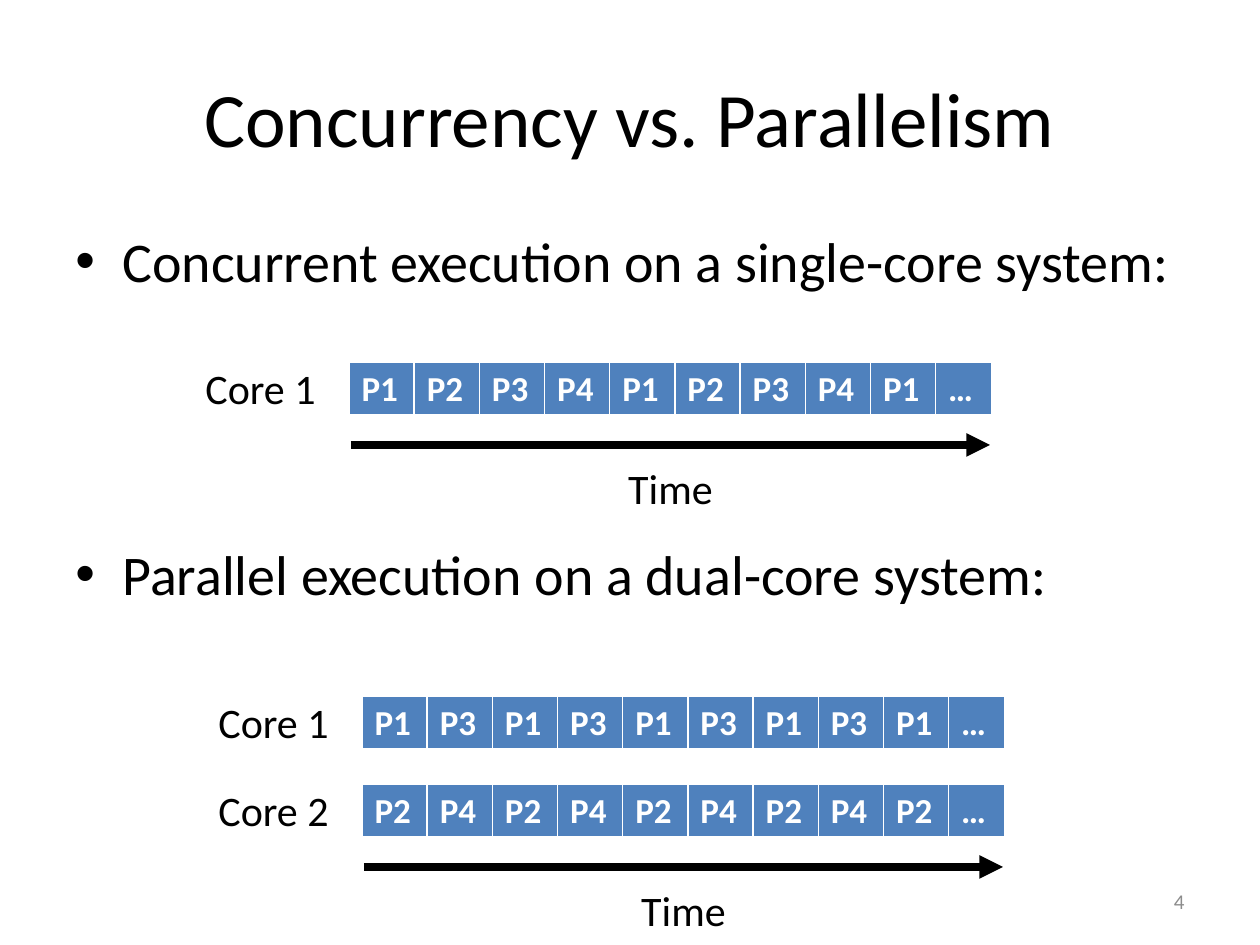
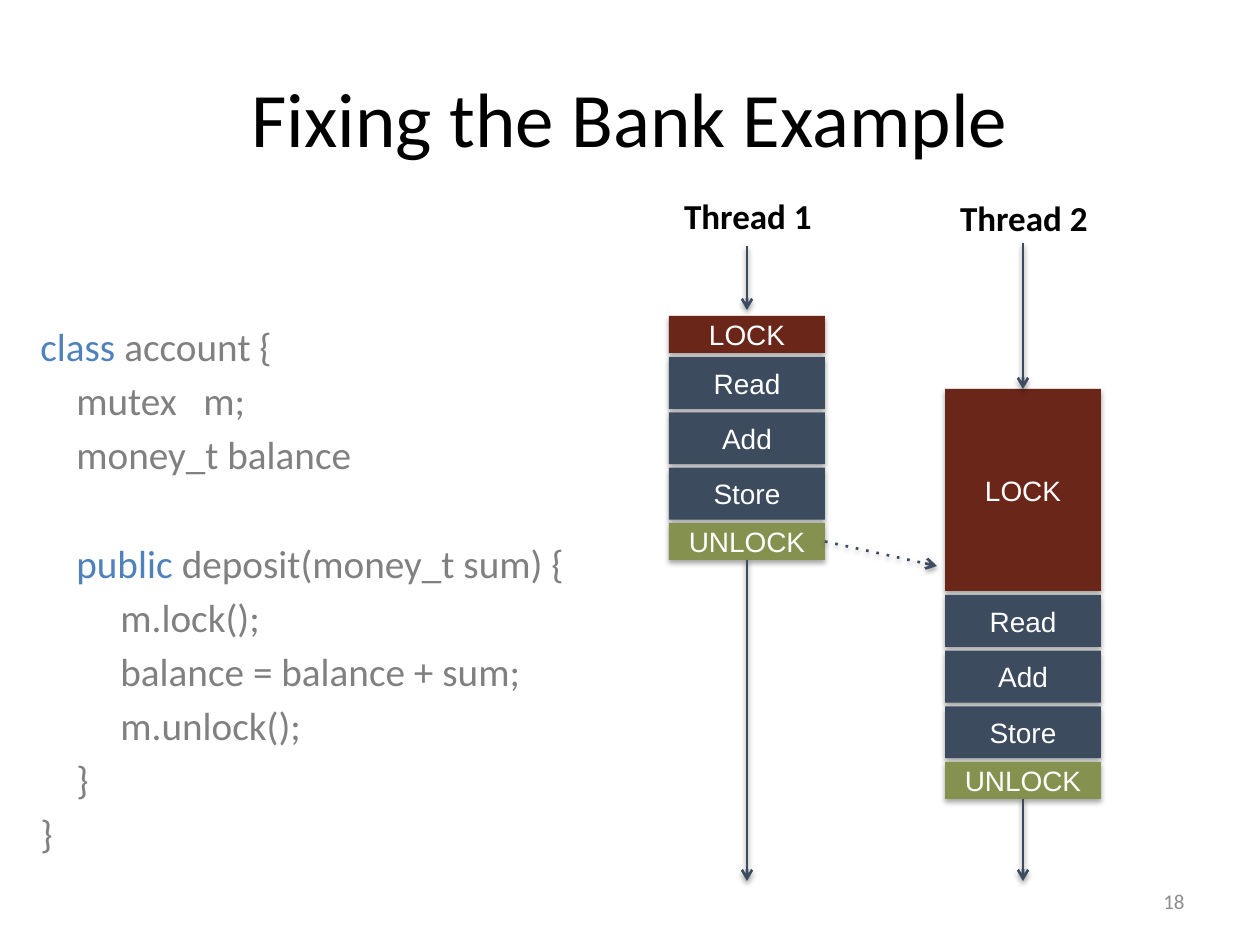
import dataclasses

import lxml.etree
import pptx
import pptx.dml.color
import pptx.enum.shapes
import pptx.enum.text
import pptx.oxml.ns
import pptx.util

ALIGN = pptx.enum.text.PP_ALIGN
ANCHOR = pptx.enum.text.MSO_ANCHOR
qn = pptx.oxml.ns.qn


@dataclasses.dataclass(frozen=True)
class Theme:
    font: str = "Calibri"
    block_font: str = "Arial"
    ink: str = "000000"
    paper: str = "FFFFFF"
    blue: str = "4F81BD"
    code: str = "808080"
    number: str = "8C8C8C"
    slate: str = "3C4B5E"
    lock: str = "6B261A"
    unlock: str = "85914E"
    title_size: float = 44
    bullet_size: float = 32
    label_size: float = 24
    code_size: float = 22.4
    cell_size: float = 20
    block_size: float = 16
    number_size: float = 12


THEME = Theme()
BLOCK_SHADOW = (35, 1.8)  # opacity in percent, distance in points
ARROW_SHADOW = (38, 1.6)


def emu(px):
    """Turn px, 126 to the inch, into EMU."""
    return pptx.util.Emu(round(px * 914400 / 126))


def rgb(colour):
    return pptx.dml.color.RGBColor.from_string(colour)


def add_xml(parent, tag, **attributes):
    child = lxml.etree.SubElement(parent, qn(tag))
    for name, value in attributes.items():
        child.set(name, str(value))
    return child


# ---- Shared text and line helpers ----

def style(para, size, colour=THEME.ink, align=ALIGN.LEFT, bold=False, font=THEME.font):
    para.alignment = align
    for span in para.runs:
        span.font.name = font
        span.font.size = pptx.util.Pt(size)
        span.font.bold = bold
        span.font.color.rgb = rgb(colour)


def add_text(page, box, text, size, wrap=False, anchor=ANCHOR.TOP, **look):
    frame = page.shapes.add_textbox(*map(emu, box)).text_frame
    frame.word_wrap = wrap
    frame.vertical_anchor = anchor
    frame.text = text
    for para in frame.paragraphs:
        style(para, size, **look)
    return frame


def add_effects(shape, shadow=None):
    effects = add_xml(shape._element.spPr, "a:effectLst")
    if shadow:
        opacity, distance = shadow
        outer = add_xml(effects, "a:outerShdw", blurRad=pptx.util.Pt(3.1),
                        dist=pptx.util.Pt(distance), dir=90 * 60000, rotWithShape=0)
        black = add_xml(outer, "a:srgbClr", val=THEME.ink)
        add_xml(black, "a:alpha", val=opacity * 1000)


def add_arrow(page, start, end, colour, width, head, dash=None, shadow=None):
    arrow = page.shapes.add_connector(
        pptx.enum.shapes.MSO_CONNECTOR.STRAIGHT, *map(emu, start + end))
    arrow.line.color.rgb = rgb(colour)
    arrow.line.width = pptx.util.Pt(width)
    outline = arrow._element.spPr.find(qn("a:ln"))
    if dash:
        add_xml(outline, "a:prstDash", val=dash)
    add_xml(outline, "a:tailEnd", type=head)
    add_effects(arrow, shadow)
    return arrow


def add_page(deck, title, number):
    page = deck.slides.add_slide(deck.slide_layouts[5])
    heading = page.shapes.title
    heading.left, heading.top, heading.width, heading.height = map(emu, (63, 38, 1134, 157))
    heading.text_frame.text = title
    heading.text_frame.vertical_anchor = ANCHOR.MIDDLE
    style(heading.text_frame.paragraphs[0], THEME.title_size, align=ALIGN.CENTER)
    add_text(page, (903, 876, 294, 50), str(number), THEME.number_size, wrap=True,
             anchor=ANCHOR.MIDDLE, colour=THEME.number, align=ALIGN.RIGHT)
    return page


# ---- Concurrency slide ----

def add_bullets(page, box, bullets, gap):
    frame = add_text(page, box, "\n".join(bullets), THEME.bullet_size, wrap=True)
    for index, para in enumerate(frame.paragraphs):
        para.space_before = pptx.util.Pt(gap if index else 0)
        properties = para._p.get_or_add_pPr()
        properties.set("marL", str(emu(47)))
        properties.set("indent", str(emu(-47)))
        add_xml(properties, "a:buFont", typeface="Arial")
        add_xml(properties, "a:buChar", char="•")


def add_core_row(page, box, processes):
    left, top, width, height = box
    last = 56
    table = page.shapes.add_table(1, len(processes), *map(emu, box)).table
    table.first_row = table.horz_banding = False
    table.rows[0].height = emu(height)
    for index, process in enumerate(processes):
        table.columns[index].width = emu((width - last) / (len(processes) - 1))
        cell = table.cell(0, index)
        cell.text = process
        style(cell.text_frame.paragraphs[0], THEME.cell_size, THEME.paper, bold=True)
        properties = cell._tc.get_or_add_tcPr()
        for side, points in (("L", 1), ("R", 1), ("T", 1), ("B", 3)):
            border = add_xml(properties, "a:ln" + side, w=pptx.util.Pt(points))
            add_xml(add_xml(border, "a:solidFill"), "a:srgbClr", val=THEME.paper)
        cell.fill.solid()
        cell.fill.fore_color.rgb = rgb(THEME.blue)
    table.columns[len(processes) - 1].width = emu(last)


def add_timeline(page, left, top, cores):
    """Core rows, one below the other, with a time arrow underneath."""
    width, pitch = 643, 88
    for index, processes in enumerate(cores):
        row_top = top + index * pitch
        add_text(page, (left - 156, row_top - 6, 136, 63), f"Core {index + 1}",
                 THEME.label_size)
        add_core_row(page, (left, row_top, width, 52), processes)
    arrow_top = row_top + 83
    add_arrow(page, (left + 2, arrow_top), (left + width - 2, arrow_top),
              THEME.ink, 4.5, "triangle")
    add_text(page, (left + 266, row_top + 94, 111, 63), "Time", THEME.label_size,
             align=ALIGN.CENTER)


def repeat(*processes):
    """Nine time slots shared in turn, then an ellipsis."""
    return [processes[slot % len(processes)] for slot in range(9)] + ["…"]


def build_concurrency(deck):
    page = add_page(deck, "Concurrency vs. Parallelism", 4)
    add_bullets(page, (63, 220, 1134, 624),
                ["Concurrent execution on a single-core system:",
                 "Parallel execution on a dual-core system:"], gap=140.4)
    add_timeline(page, 349, 362, [repeat("P1", "P2", "P3", "P4")])
    add_timeline(page, 362, 696, [repeat("P1", "P3"), repeat("P2", "P4")])


# ---- Bank slide ----

# Indent in px, then spans of text
CODE = [
    (0, ["class ", "account {"]),
    (36, ["mutex", " ", "m;"]),
    (36, ["money_t balance"]),
    (36, ["public ", "deposit(money_t sum) {"]),
    (80, ["m.lock();"]),
    (80, ["balance = balance + sum;"]),
    (80, ["m.unlock();"]),
    (36, ["}"]),
    (0, ["}"]),
]


def add_code(page, box):
    frame = add_text(page, box, "", THEME.code_size, wrap=True)
    for index, (indent, spans) in enumerate(CODE):
        para = frame.paragraphs[0] if index == 0 else frame.add_paragraph()
        for text in spans:
            para.add_run().text = text
        style(para, THEME.code_size, THEME.code)
        for span in para.runs:
            if span.text in ("class ", "public "):
                span.font.color.rgb = rgb(THEME.blue)
            elif span.text == " ":
                span._r.get_or_add_rPr().set("spc", "1000")  # widened space
        starts_method = spans[0] == "public "
        para.space_before = pptx.util.Pt(35.4 if starts_method else 4 if index else 0)
        para._p.get_or_add_pPr().set("marL", str(emu(indent)))
        para._p.get_or_add_pPr().set("indent", "0")


def add_block(page, box, text, colour):
    block = page.shapes.add_shape(pptx.enum.shapes.MSO_SHAPE.RECTANGLE, *map(emu, box))
    block.fill.solid()
    block.fill.fore_color.rgb = rgb(colour)
    block.line.fill.background()
    add_effects(block, BLOCK_SHADOW)
    block.text_frame.text = text
    block.text_frame.vertical_anchor = ANCHOR.MIDDLE
    style(block.text_frame.paragraphs[0], THEME.block_size, THEME.paper,
          ALIGN.CENTER, font=THEME.block_font)
    return block


def add_step_arrow(page, start, end, dash=None):
    return add_arrow(page, start, end, THEME.slate, 1.5, "arrow", dash, ARROW_SHADOW)


def add_thread(page, box, name, name_top, lock_height, arrow_top, arrow_end):
    """A stack of blocks, with arrows leading in and out; returns the UNLOCK block."""
    left, top, width, height = box
    bottom, middle = top + height, left + width / 2
    unlock_height, step_height, gap = 37, 52, 4
    unlock_top = bottom - unlock_height
    steps_top = top + lock_height + gap
    steps = ["Read", "Add", "Store"]
    pitch = (unlock_top - steps_top) / len(steps)

    add_text(page, (left + 2, name_top, 154, 55), name, THEME.cell_size,
             align=ALIGN.CENTER, bold=True)
    lock = add_block(page, (left, top, width, lock_height), "LOCK", THEME.lock)
    for index, step in enumerate(steps):
        add_block(page, (left, steps_top + index * pitch, width, step_height),
                  step, THEME.slate)
    unlock = add_block(page, (left, unlock_top, width, unlock_height),
                       "UNLOCK", THEME.unlock)

    arrow_in = add_step_arrow(page, (middle, arrow_top), (middle, arrow_end))
    if arrow_end == top:
        arrow_in.end_connect(lock, 0)
    arrow_out = add_step_arrow(page, (middle, bottom), (middle, 881))
    arrow_out.begin_connect(unlock, 2)
    return unlock


def build_bank(deck):
    page = add_page(deck, "Fixing the Bank Example", 18)
    add_code(page, (28, 316, 568, 499))
    unlock = add_thread(page, (669, 316, 156, 244), "Thread 1", 188,
                        lock_height=37, arrow_top=246, arrow_end=310)
    add_thread(page, (945, 389, 156, 410), "Thread 2", 190,
               lock_height=202, arrow_top=243, arrow_end=389)
    # Releasing the lock lets the second thread go on
    release = add_step_arrow(page, (825, 542), (937, 566), dash="dot")
    release.begin_connect(unlock, 3)


def main():
    deck = pptx.Presentation()
    deck.slide_width, deck.slide_height = emu(1260), emu(945)
    build_concurrency(deck)
    build_bank(deck)
    deck.save("out.pptx")


if __name__ == "__main__":
    main()
